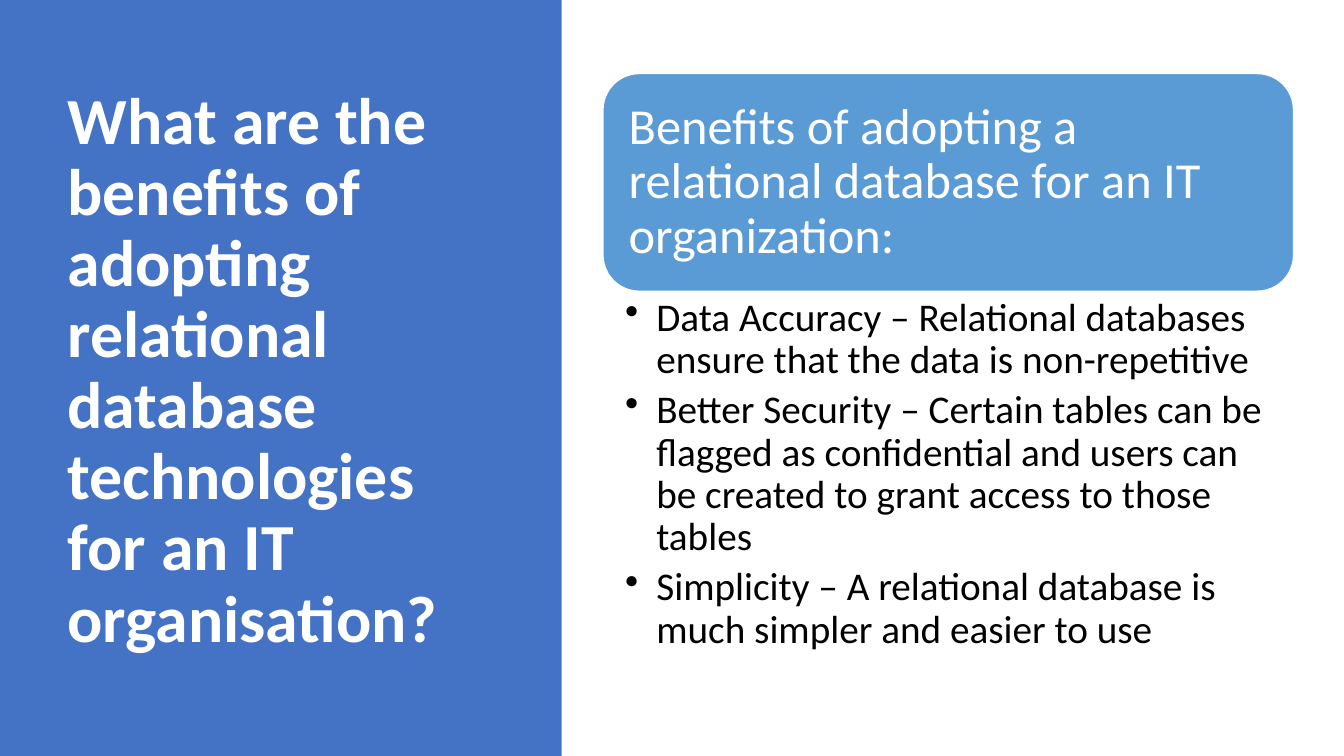
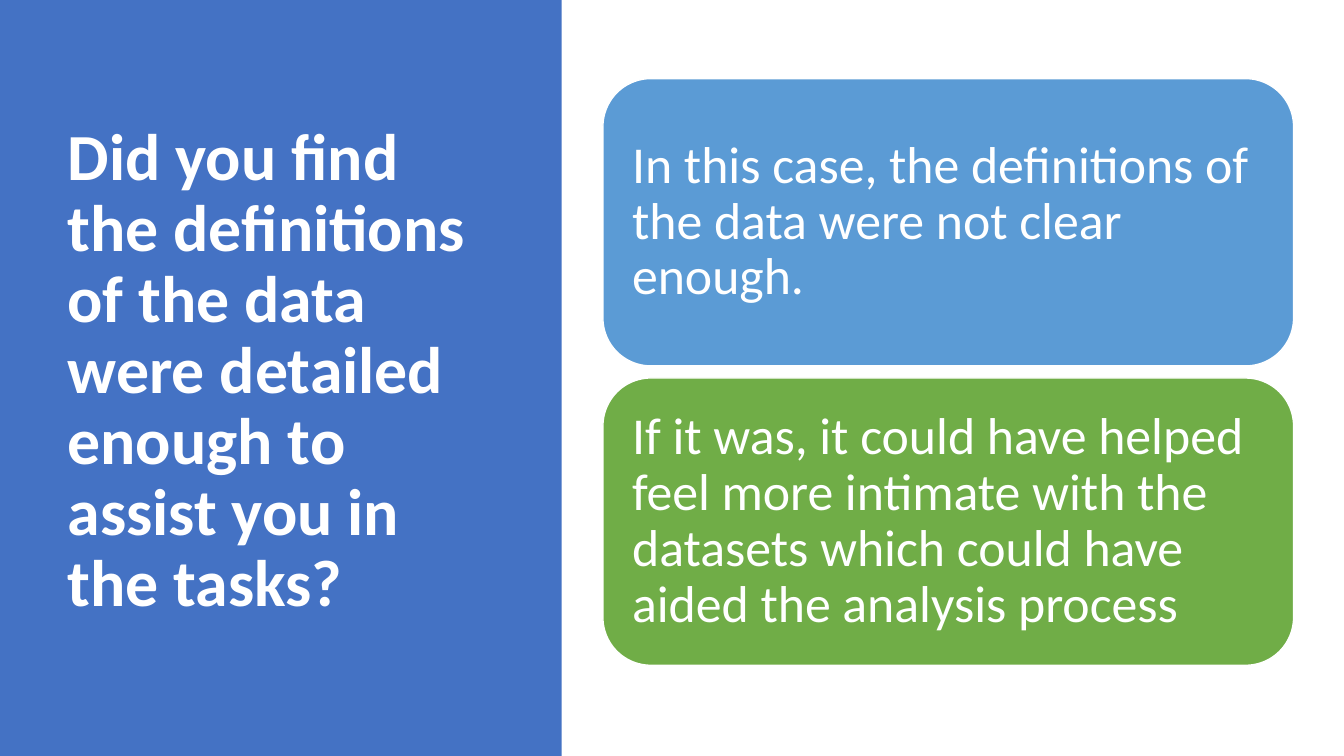
from lxml import etree
from pptx import Presentation
from pptx.dml.color import RGBColor
from pptx.enum.shapes import MSO_SHAPE
from pptx.enum.text import MSO_ANCHOR, MSO_AUTO_SIZE, PP_ALIGN
from pptx.oxml.ns import qn
from pptx.util import Inches, Pt

RECT, ROUND = MSO_SHAPE.RECTANGLE, MSO_SHAPE.ROUNDED_RECTANGLE
TOP, MIDDLE = MSO_ANCHOR.TOP, MSO_ANCHOR.MIDDLE
LEFT = PP_ALIGN.LEFT
NO_FIT = MSO_AUTO_SIZE.NONE
TITLE_ONLY = 5


def rgb(value):
    return RGBColor.from_string(value)


class Deck:
    FONT = "Calibri"
    WHITE, BLACK = "FFFFFF", "000000"
    PANEL, BLUE, GREEN = "4472C4", "5B9BD5", "70AD47"
    CONTENT_X, CONTENT_W = 5.98, 6.85

    def __init__(self):
        self.prs = Presentation()
        self.prs.slide_width = Inches(13.33)
        self.prs.slide_height = Inches(7.5)
        self.s = None

    def slide(self, title):
        """Start a slide with the coloured side panel and its title."""
        self.s = self.prs.slides.add_slide(self.prs.slide_layouts[TITLE_ONLY])
        sp = self.s.shapes.title
        sp.left, sp.top = Inches(0.57), Inches(0.68)
        sp.width, sp.height = Inches(4.16), Inches(6.02)
        self.text(sp.text_frame, [title], 47, self.WHITE, MIDDLE, bold=True)
        panel = self.shape(RECT, 0, 0, 5.57, 7.5, self.PANEL)
        sp.element.addprevious(panel.element)  # panel goes behind the title

    def shape(self, kind, x, y, w, h, fill):
        sp = self.s.shapes.add_shape(kind, Inches(x), Inches(y), Inches(w), Inches(h))
        sp.shadow.inherit = False
        sp.fill.solid()
        sp.fill.fore_color.rgb = rgb(fill)
        sp.line.fill.background()
        return sp

    def text(self, tf, lines, size, color, anchor, bold=False, after=0):
        tf.text = "\n".join(lines)
        tf.word_wrap = True
        tf.auto_size = NO_FIT
        tf.vertical_anchor = anchor
        for p in tf.paragraphs:
            p.alignment = LEFT
            p.line_spacing = 0.9
            p.space_after = Pt(after)
            for r in p.runs:
                r.font.name = self.FONT
                r.font.size = Pt(size)
                r.font.bold = bold
                r.font.color.rgb = rgb(color)

    def card(self, y, h, text, size, fill):
        sp = self.shape(ROUND, self.CONTENT_X, y, self.CONTENT_W, h, fill)
        sp.line.color.rgb = rgb(self.WHITE)
        sp.line.width = Pt(1)
        tf = sp.text_frame
        tf.margin_left = tf.margin_right = Inches(0.15)
        tf.margin_top = tf.margin_bottom = Inches(0.15)
        self.text(tf, [text], size, self.WHITE, MIDDLE)

    def bullets(self, y, h, lines):
        box = self.s.shapes.add_textbox(
            Inches(self.CONTENT_X), Inches(y), Inches(self.CONTENT_W), Inches(h))
        tf = box.text_frame
        tf.margin_left, tf.margin_right = Inches(0.22), Inches(0.28)
        self.text(tf, lines, 28, self.BLACK, TOP, after=5.6)
        for p in tf.paragraphs:
            p.level = 1
            pPr = p._p.get_or_add_pPr()
            pPr.set("marL", str(Inches(0.31)))
            pPr.set("indent", str(-Inches(0.31)))
            etree.SubElement(pPr, qn("a:buChar")).set("char", "•")


def main():
    deck = Deck()

    # Benefits: heading card with bullets below
    deck.slide("What are the benefits of adopting relational database "
               "technologies for an IT organisation?")
    deck.card(0.73, 2.16, "Benefits of adopting a relational database "
              "for an IT organization:", 36, deck.BLUE)
    deck.bullets(2.9, 3.75, [
        "Data Accuracy – Relational databases ensure that the data is non-repetitive",
        "Better Security – Certain tables can be flagged as confidential and users "
        "can be created to grant access to those tables",
        "Simplicity – A relational database is much simpler and easier to use",
    ])

    # Definitions: two equal cards
    deck.slide("Did you find the definitions of the data were detailed enough "
               "to assist you in the tasks?")
    cards = [
        ("In this case, the definitions of the data were not clear enough.", deck.BLUE),
        ("If it was, it could have helped feel more intimate with the datasets "
         "which could have aided the analysis process", deck.GREEN),
    ]
    height, gap = 2.85, 0.12
    for i, (text, fill) in enumerate(cards):
        deck.card(0.78 + i * (height + gap), height, text, 37, fill)

    deck.prs.save("out.pptx")


if __name__ == "__main__":
    main()
